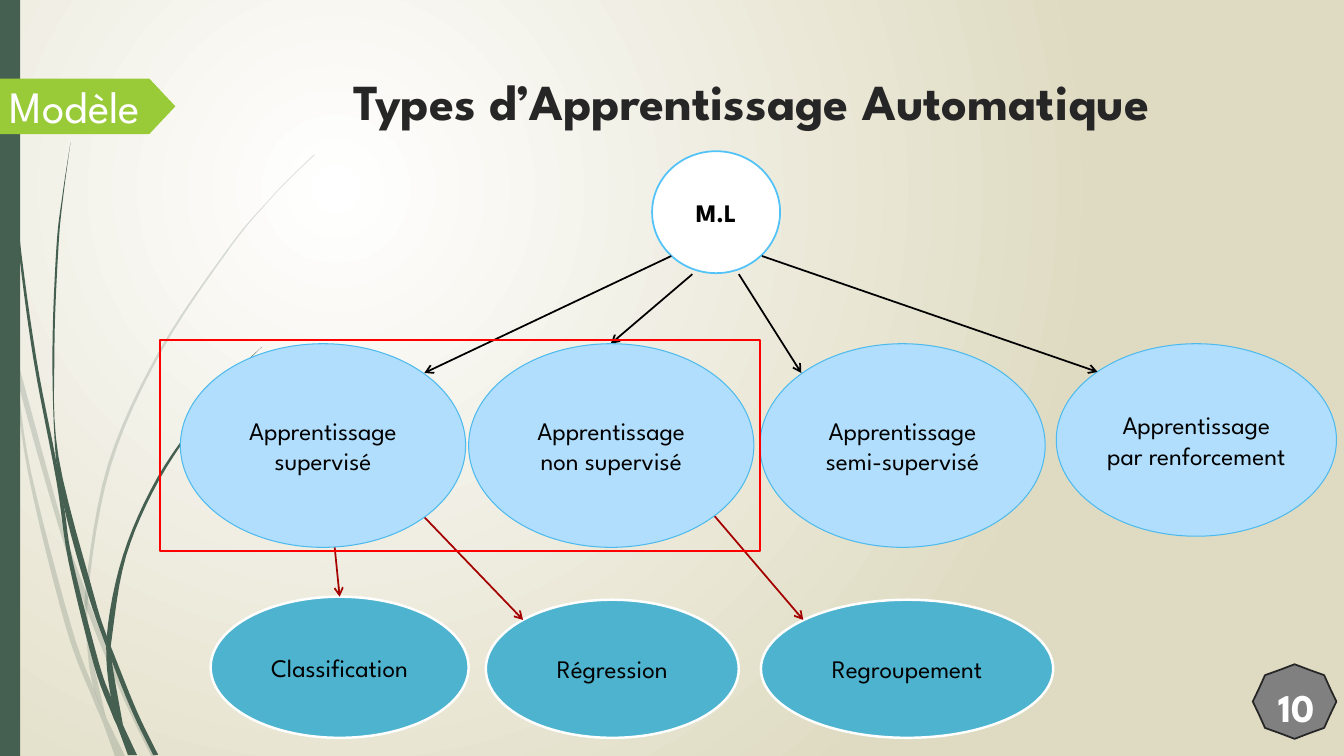
"""Build the slide on the types of machine learning."""
from dataclasses import dataclass

from lxml.etree import SubElement
from pptx import Presentation
from pptx.dml.color import RGBColor as Rgb
from pptx.enum.shapes import MSO_CONNECTOR as Link, MSO_SHAPE as Shape
from pptx.enum.text import MSO_ANCHOR as Anchor, PP_ALIGN as Align
from pptx.oxml.ns import qn
from pptx.util import Cm, Pt


@dataclass(frozen=True)
class Theme:
    font: str = "League Spartan"
    title: int = 36
    tag: int = 32
    number: int = 28
    label: int = 18
    thin: float = 0.75
    line: float = 1.25
    thick: float = 1.75
    white: str = "FFFFFF"
    black: str = "000000"
    ink: str = "262626"
    sand: str = "DFDBC2"
    forest: str = "455F51"
    lime: str = "99CB38"
    gray: str = "808080"
    sky: str = "B1DEFC"
    sky_edge: str = "4DBAEE"
    root_edge: str = "51C3F9"
    teal: str = "4EB3CF"
    crimson: str = "A40000"
    red: str = "FF0000"


THEME = Theme()
PALE, SOLID = 20, 100
TITLE = ("Types d’Apprentissage Automatique", (2.58, 0.65, 9.75, 1.4))
TAG = ("Modèle", (0, 0.73, 2.83, 0.64))
NUMBER = ("10", (12.51, 6.71, 0.63, 0.61))

ROOT = (THEME.white, THEME.root_edge, THEME.line)
FAMILY = (THEME.sky, THEME.sky_edge, THEME.thin)
TASK = (THEME.teal, THEME.white, THEME.thick)

BACK_NODES = [
    ("M.L", (6.47, 1.5, 1.27, 1.21), ROOT, True),
    ("Apprentissage semi-supervisé", (7.54, 3.41, 2.83, 2.02), FAMILY, False),
    ("Apprentissage par renforcement", (10.48, 3.41, 2.78, 1.91), FAMILY, False),
    ("Classification", (2.09, 5.92, 2.56, 1.4), TASK, False),
    ("Régression", (4.82, 5.95, 2.51, 1.37), TASK, False),
    ("Regroupement", (7.55, 5.95, 2.9, 1.37), TASK, False),
]
FRONT_NODES = [
    ("Apprentissage non supervisé", (4.65, 3.41, 2.83, 2.02), FAMILY, False),
    ("Apprentissage supervisé", (1.79, 3.41, 2.83, 2.02), FAMILY, False),
]
HIGHLIGHT = (1.59, 3.37, 5.95, 2.1)

ARROWS = {
    THEME.black: [
        (6.66, 2.54, 4.21, 3.7),
        (6.87, 2.72, 6.06, 3.41),
        (7.33, 2.72, 7.95, 3.7),
        (7.56, 2.54, 10.89, 3.69),
    ],
    THEME.crimson: [
        (3.32, 5.42, 3.37, 5.92),
        (4.21, 5.13, 5.19, 6.15),
        (6.68, 4.64, 7.97, 6.15),
    ],
}

STRANDS = [
    (PALE,
     [(0, 2.82), (0.09, 3.22), (0.17, 3.76), (0.31, 4.69), (0.7, 6.19),
      (0.93, 6.83), (1.05, 7.11), (1.24, 7.5)],
     [(1.14, 7.5), (1.01, 7.14), (0.92, 6.93), (0.65, 6.21), (0.28, 4.7),
      (0.11, 3.5), (0, 2.99)]),
    (PALE,
     [(0.14, 3.45), (0.62, 5.2), (0.85, 5.86), (0.92, 6.07), (1.27, 6.92),
      (1.55, 7.5)],
     [(1.5, 7.5), (1.23, 6.94), (0.88, 6.1), (0.58, 5.22), (0.17, 3.76),
      (0.14, 3.45)]),
    (PALE,
     [(3.12, 1.53), (2.89, 1.75), (2.68, 1.97), (2.28, 2.44), (1.58, 3.48),
      (1.07, 4.61), (0.85, 5.84), (0.87, 6.46), (0.93, 6.83), (1.05, 7.11)],
     [(1.05, 7.11), (0.91, 6.46), (0.88, 5.84), (1.1, 4.62), (1.6, 3.49),
      (2.29, 2.45), (2.68, 1.98), (2.9, 1.75), (3.12, 1.54)]),
    (SOLID,
     [(0.04, 0), (0.05, 0.48), (0.08, 1.09), (0.19, 2.32), (0.36, 3.55),
      (0.55, 4.53), (0.64, 5.05), (0.72, 5.56), (0.98, 6.57), (1.1, 6.91),
      (1.22, 7.19), (1.36, 7.49)],
     [(1.27, 7.49), (1.17, 7.22), (1.11, 7.08), (0.93, 6.59), (0.68, 5.57),
      (0.56, 4.77), (0.33, 3.55), (0.17, 2.33), (0.07, 1.1), (0.04, 0.48),
      (0.03, 0)]),
    (SOLID,
     [(0.7, 1.41), (0.63, 1.93), (0.58, 2.45), (0.54, 3.49), (0.58, 4.53),
      (0.93, 5.9), (1.06, 6.31), (1.13, 6.49), (1.36, 7.06), (1.57, 7.49)],
     [(1.52, 7.49), (1.32, 7.08), (1.11, 6.56), (0.88, 5.92), (0.64, 5.05),
      (0.55, 4.49), (0.52, 3.49), (0.56, 2.45), (0.62, 1.93), (0.7, 1.41)]),
    (SOLID,
     [(2.6, 3.44), (2.45, 3.58), (2.31, 3.73), (2.04, 4.05), (1.56, 4.74),
      (1.22, 5.51), (1.06, 6.31), (1.1, 6.91), (1.22, 7.19)],
     [(1.22, 7.19), (1.11, 6.56), (1.11, 6.33), (1.25, 5.52), (1.58, 4.76),
      (2.05, 4.06), (2.31, 3.74), (2.45, 3.59), (2.6, 3.44)]),
]


def inches(values):
    return [Cm(value * 2.54) for value in values]


def smooth(points, steps=6):
    curve = [points[0]]
    padded = [points[0], *points, points[-1]]
    for a, b, c, d in zip(padded, padded[1:], padded[2:], padded[3:]):
        for step in range(1, steps + 1):
            t = step / steps
            curve.append(tuple(
                q + t * (r - p) / 2 + t * t * (2 * p - 5 * q + 4 * r - s) / 2
                + t ** 3 * (3 * q - p - 3 * r + s) / 2
                for p, q, r, s in zip(a, b, c, d)))
    return curve


def paint(shape, fill=None, edge=None, width=THEME.line):
    shape.shadow.inherit = False
    for part, color in ((shape.fill, fill), (shape.line.fill, edge)):
        if color:
            part.solid()
            part.fore_color.rgb = Rgb.from_string(color)
        else:
            part.background()
    if edge:
        shape.line.width = Pt(width)
    return shape


def write(shape, text, size, color, align, anchor, bold=False):
    frame = shape.text_frame
    frame.word_wrap = True
    frame.vertical_anchor = anchor
    paragraph = frame.paragraphs[0]
    paragraph.alignment = align
    run = paragraph.add_run()
    run.text = text
    run.font.name, run.font.size, run.font.bold = THEME.font, Pt(size), bold
    run.font.color.rgb = Rgb.from_string(color)


def add_background(slide):
    fill = slide.background.fill
    fill.gradient()
    for stop, color in zip(fill.gradient_stops, (THEME.white, THEME.sand)):
        stop.color.rgb = Rgb.from_string(color)
    linear = next(slide.element.iter(qn("a:lin")))
    gradient = linear.getparent()
    gradient.remove(linear)
    circle = SubElement(gradient, qn("a:path"), {"path": "circle"})
    SubElement(circle, qn("a:fillToRect"),
               {"l": "50000", "t": "50000", "r": "100000", "b": "100000"})


def add_strand(shapes, opacity, down, up):
    outline = [inches(point) for point in smooth(down) + smooth(up)]
    builder = shapes.build_freeform(*outline[0])
    builder.add_line_segments(outline[1:], close=True)
    strand = paint(builder.convert_to_shape(), THEME.forest)
    if opacity < SOLID:
        color = next(strand.element.spPr.iter(qn("a:srgbClr")))
        SubElement(color, qn("a:alpha"), {"val": str(opacity * 1000)})


def add_node(shapes, text, box, style, bold):
    node = paint(shapes.add_shape(Shape.OVAL, *inches(box)), *style)
    write(node, text, THEME.label, THEME.black, Align.CENTER, Anchor.MIDDLE, bold)


def add_arrow(shapes, ends, color):
    arrow = shapes.add_connector(Link.STRAIGHT, *inches(ends))
    arrow.line.color.rgb = Rgb.from_string(color)
    arrow.line.width = Pt(THEME.line)
    SubElement(arrow.line._get_or_add_ln(), qn("a:tailEnd"), {"type": "arrow"})
    SubElement(arrow._element.spPr, qn("a:effectLst"))


def main():
    deck = Presentation()
    deck.slide_width, deck.slide_height = Cm(33.87), Cm(19.05)
    slide = deck.slides.add_slide(deck.slide_layouts[6])
    shapes = slide.shapes
    add_background(slide)
    for strand in STRANDS:
        add_strand(shapes, *strand)
    paint(shapes.add_shape(Shape.RECTANGLE, *inches((0, 0, 0.2, 7.5))), THEME.forest)
    ribbon = shapes.add_shape(Shape.PENTAGON, *inches((0, 0.78, 1.74, 0.55)))
    paint(ribbon, THEME.lime).adjustments[0] = 0.47
    badge = shapes.add_shape(Shape.STAR_8_POINT, *inches((12.43, 6.59, 0.83, 0.74)))
    paint(badge, THEME.gray, THEME.ink).adjustments[0] = 0.46
    for (text, box), *style in (
        (TITLE, THEME.title, THEME.ink, Align.CENTER, Anchor.TOP, True),
        (TAG, THEME.tag, THEME.white, Align.LEFT, Anchor.TOP),
        (NUMBER, THEME.number, THEME.white, Align.RIGHT, Anchor.MIDDLE, True),
    ):
        write(shapes.add_textbox(*inches(box)), text, *style)
    for node in BACK_NODES:
        add_node(shapes, *node)
    for color, arrows in ARROWS.items():
        for ends in arrows:
            add_arrow(shapes, ends, color)
    paint(shapes.add_shape(Shape.RECTANGLE, *inches(HIGHLIGHT)), edge=THEME.red)
    for node in FRONT_NODES:
        add_node(shapes, *node)
    deck.save("out.pptx")


if __name__ == "__main__":
    main()
